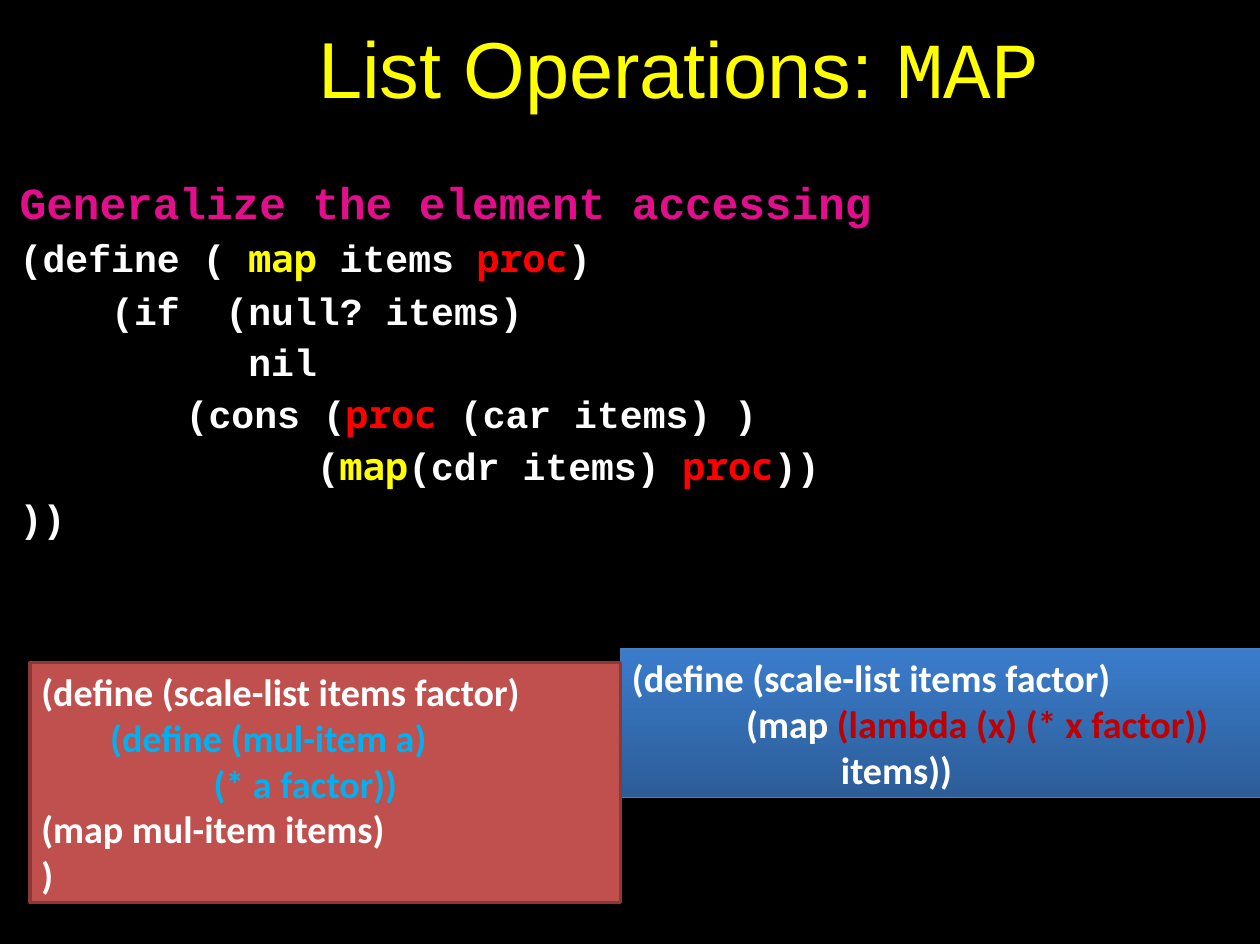
from pptx import Presentation
from pptx.dml.color import RGBColor
from pptx.enum.shapes import MSO_SHAPE
from pptx.enum.text import MSO_ANCHOR, PP_ALIGN
from pptx.util import Cm, Pt

RECTANGLE = MSO_SHAPE.RECTANGLE
TOP = MSO_ANCHOR.TOP
LEFT, CENTER = PP_ALIGN.LEFT, PP_ALIGN.CENTER

COLORS = {
    "black": "000000", "white": "FFFFFF", "yellow": "FFFF00",
    "pink": "E20E8C", "red": "FF0000", "dark_red": "C00000",
    "cyan": "00B0F0", "brick": "C0504D", "brick_edge": "8C3836",
    "blue_low": "2C5D98", "blue_high": "3A7CCB", "blue_edge": "4A7EBB",
}

STYLES = {
    "title": ("Arial", 50, False, "yellow"),
    "title_code": ("Courier New", 50, False, "yellow"),
    "heading": ("Courier New", 28, True, "pink"),
    "code": ("Courier New", 24, True, "white"),
    "map": ("Noto Sans Mono", 24, True, "yellow"),
    "proc": ("Noto Sans Mono", 24, True, "red"),
    "example": ("Calibri", 24, True, "white"),
    "lambda": ("Calibri", 24, True, "dark_red"),
    "helper": ("Calibri", 24, True, "cyan"),
}

HANGING = (0.66, -0.64)
INDENTED = (0.66, 0)
FLUSH = (0, 0)
TABBED = (2.54, 0)

TITLE = [
    (FLUSH, 0, 1, [("List Operations: ", "title"), ("MAP", "title_code")]),
]
MAP_CODE = [
    (HANGING, 0, 1.11, [("Generalize the element accessing", "heading")]),
    (HANGING, 1, 1.11, [("(define ( ", "code"), ("map ", "map"),
                        ("items ", "code"), ("proc", "proc"), (")", "code")]),
    (HANGING, 1, 1.11, [("    (if  (null? items)", "code")]),
    (HANGING, 3.7, 1, [("          nil", "code")]),
    (INDENTED, 4.1, 1, [("      (cons (", "code"), ("proc ", "proc"),
                        ("(car items) )", "code")]),
    (HANGING, 4, 1, [("             (", "code"), ("map", "map"),
                     ("(cdr items) ", "code"), ("proc", "proc"), ("))", "code")]),
    (HANGING, 3.7, 1, [("))", "code")]),
]
LAMBDA_EXAMPLE = [
    (FLUSH, 0, 1, [("(define (scale-list items factor)", "example")]),
    (TABBED, 0, 1, [("(map ", "example"), ("(lambda (x) (* x factor))", "lambda")]),
    (TABBED, 0, 1, [("           items))", "example")]),
]
HELPER_EXAMPLE = [
    (FLUSH, 0, 1, [("(define (scale-list items factor)", "example")]),
    (FLUSH, 0, 1, [("        (define (mul-item a)", "helper")]),
    (FLUSH, 0, 1, [("                    (* a factor))", "helper")]),
    (FLUSH, 0, 1, [("(map mul-item items)", "example")]),
    (FLUSH, 0, 1, [(")", "example")]),
]

PAGE_POINTS = (794, 595)
TITLE_PLACE = (3.33, 0.4, 23.52, 2.18)
MAP_PLACE = (0.42, 3.73, 24.84, 8.28)
LAMBDA_PLACE = (13.8, 14.43, 14.22, 3.3)
HELPER_PLACE = (0.67, 14.74, 13.13, 5.33)
TEXT_INSETS = (0, 0.03, 0, 0)
PANEL_INSETS = (0.25, 0.13, 0.25, 0.13)


def color(name):
    return RGBColor.from_string(COLORS[name])


def set_all(target, values):
    for name, value in values.items():
        setattr(target, name, value)


def write(box, lines, insets, alignment=LEFT):
    frame = box.text_frame
    left, top, right, bottom = map(Cm, insets)
    set_all(frame, {"word_wrap": True, "vertical_anchor": TOP,
                    "margin_left": left, "margin_top": top,
                    "margin_right": right, "margin_bottom": bottom})
    for index, ((margin, indent), before, spacing, spans) in enumerate(lines):
        para = frame.add_paragraph() if index else frame.paragraphs[0]
        set_all(para, {"alignment": alignment, "space_before": Pt(before),
                       "line_spacing": spacing})
        properties = para._p.get_or_add_pPr()
        properties.set("marL", str(Cm(margin)))
        properties.set("indent", str(Cm(indent)))
        for text, style in spans:
            name, size, bold, shade = STYLES[style]
            span = para.add_run()
            span.text = text
            set_all(span.font, {"name": name, "size": Pt(size), "bold": bold})
            span.font.color.rgb = color(shade)


def add_panel(page, place, lines, edge, edge_width):
    panel = page.shapes.add_shape(RECTANGLE, *map(Cm, place))
    panel.shadow.inherit = False
    panel.line.color.rgb = color(edge)
    panel.line.width = Pt(edge_width)
    write(panel, lines, PANEL_INSETS)
    return panel


def main():
    deck = Presentation()
    width, height = map(Pt, PAGE_POINTS)
    set_all(deck, {"slide_width": width, "slide_height": height})
    page = deck.slides.add_slide(deck.slide_layouts[6])
    page.background.fill.solid()
    page.background.fill.fore_color.rgb = color("black")

    for place, lines, alignment in ((TITLE_PLACE, TITLE, CENTER),
                                    (MAP_PLACE, MAP_CODE, LEFT)):
        box = page.shapes.add_textbox(*map(Cm, place))
        write(box, lines, TEXT_INSETS, alignment)

    lambda_panel = add_panel(page, LAMBDA_PLACE, LAMBDA_EXAMPLE, "blue_edge", 0.75)
    lambda_panel.fill.gradient()
    lambda_panel.fill.gradient_angle = 90
    for stop, shade in zip(lambda_panel.fill.gradient_stops, ("blue_low", "blue_high")):
        stop.color.rgb = color(shade)

    helper_panel = add_panel(page, HELPER_PLACE, HELPER_EXAMPLE, "brick_edge", 2)
    helper_panel.fill.solid()
    helper_panel.fill.fore_color.rgb = color("brick")

    deck.save("out.pptx")


if __name__ == "__main__":
    main()
